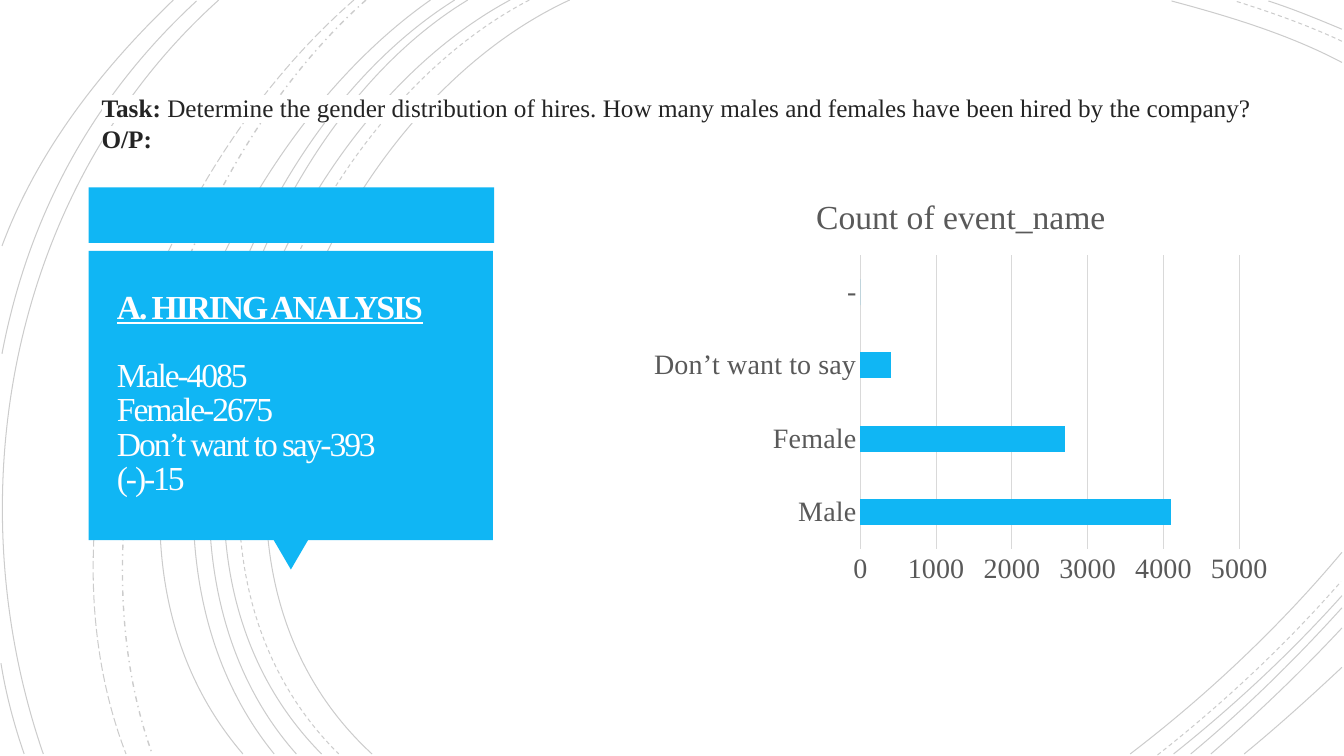
from dataclasses import dataclass

from lxml.etree import SubElement
from pptx import Presentation
from pptx.chart.data import CategoryChartData
from pptx.dml.color import RGBColor
from pptx.enum.chart import XL_CHART_TYPE, XL_TICK_MARK
from pptx.enum.dml import MSO_LINE
from pptx.enum.shapes import MSO_SHAPE
from pptx.enum.text import MSO_ANCHOR, MSO_AUTO_SIZE, PP_ALIGN
from pptx.oxml.ns import qn
from pptx.slide import Slide
from pptx.text.text import Font
from pptx.util import Inches, Pt

FONT = "Times New Roman"
COLORS = {
    "accent": "10B6F4",
    "arc": "000000",
    "panel_text": "FFFEFF",
    "task_text": "242424",
    "highlight": "FFFFFF",
    "chart_text": "595959",
    "grid": "D9D9D9",
}
Point = tuple[float, float]


@dataclass(frozen=True)
class Arc:
    start: Point
    bend_out: Point
    bend_in: Point
    end: Point
    dash: MSO_LINE = MSO_LINE.SOLID
    width: float = 0.75


@dataclass(frozen=True)
class Block:
    preset: MSO_SHAPE
    left: float
    top: float
    width: float
    height: float
    rotation: float = 0


ARCS = [
    Arc((5.65, 0), (3.15, 1.15), (1.43, 5.4), (3.69, 7.48)),
    Arc((13.31, 0.62), (12.78, 0.34), (12.18, 0.16), (11.62, 0.01)),
    Arc((11.21, 7.48), (11.97, 6.9), (12.69, 6.22), (13.31, 5.48)),
    Arc((5.25, 0), (2.85, 1.25), (1.23, 5.37), (3.36, 7.48), MSO_LINE.DASH),
    Arc((13.31, 0.41), (12.97, 0.25), (12.6, 0.12), (12.25, 0.01), MSO_LINE.DASH),
    Arc((11.48, 7.49), (12.13, 6.98), (12.75, 6.4), (13.3, 5.77), MSO_LINE.DASH),
    Arc((5.06, 0), (2.7, 1.27), (1.1, 5.37), (3.19, 7.48)),
    Arc((13.31, 0.29), (13.07, 0.19), (12.83, 0.09), (12.58, 0.01)),
    Arc((11.64, 7.48), (12.23, 7.01), (12.8, 6.48), (13.31, 5.91)),
    Arc((4.64, 0), (2.44, 1.33), (1.1, 5.41), (2.94, 7.48)),
    Arc((11.81, 7.48), (12.34, 7.04), (12.84, 6.55), (13.31, 6.03)),
    Arc((4.51, 0), (2.31, 1.38), (0.97, 5.33), (2.72, 7.48)),
    Arc((12.01, 7.48), (12.46, 7.09), (12.9, 6.67), (13.31, 6.23)),
    Arc((4.27, 0), (2.17, 1.47), (0.53, 5.29), (2.41, 7.48)),
    Arc((12.34, 7.48), (12.67, 7.21), (12.99, 6.92), (13.31, 6.62)),
    Arc((3.63, 0), (1.76, 1.66), (0.65, 5.09), (1.51, 7.48), MSO_LINE.DASH_DOT, 1),
    Arc((3.51, 0), (1.57, 1.69), (0.29, 4.99), (1.25, 7.48), MSO_LINE.LONG_DASH),
    Arc((2.17, 0), (0.11, 1.85), (-0.46, 4.9), (0.43, 7.48)),
    Arc((1.95, 0.01), (0.92, 0.96), (0.28, 2.14), (0.02, 3.51)),
    Arc((0.01, 6.58), (0.06, 6.89), (0.14, 7.19), (0.24, 7.48)),
    Arc((1.72, 0), (1, 0.69), (0.37, 1.5), (0.02, 2.44)),
]
PANEL = [
    Block(MSO_SHAPE.RECTANGLE, 0.88, 1.86, 4.02, 0.55),
    Block(MSO_SHAPE.ISOSCELES_TRIANGLE, 2.71, 5.35, 0.35, 0.3, 180),
    Block(MSO_SHAPE.RECTANGLE, 0.88, 2.49, 4.01, 2.87),
]
HIRES = {"Male": 4100, "Female": 2700, "Don’t want to say": 400, "-": 0}


def color(name: str) -> RGBColor:
    return RGBColor.from_string(COLORS[name])


def style_font(font: Font, size: float, color_name: str, bold: bool = False) -> None:
    font.name = FONT
    font.size = Pt(size)
    font.bold = bold
    font.color.rgb = color(color_name)


def draw_arc(slide: Slide, arc: Arc) -> None:
    start, *others = [
        (Inches(x), Inches(y)) for x, y in (arc.start, arc.bend_out, arc.bend_in, arc.end)
    ]
    builder = slide.shapes.build_freeform(*start)
    builder.add_line_segments(others, close=False)
    curve = builder.convert_to_shape()
    outline = next(curve.element.iter(qn("a:path")))
    bezier = SubElement(outline, qn("a:cubicBezTo"))
    for segment in outline.findall(qn("a:lnTo")):
        bezier.append(segment[0])
        outline.remove(segment)
    curve.shadow.inherit = False
    curve.fill.background()
    curve.line.color.rgb = color("arc")
    curve.line.width = Pt(arc.width)
    curve.line.dash_style = arc.dash
    line_color = curve.line._ln.find(f".//{qn('a:srgbClr')}")
    SubElement(line_color, qn("a:alpha"), val="20000")


def draw_block(slide: Slide, block: Block) -> None:
    box = (Inches(n) for n in (block.left, block.top, block.width, block.height))
    panel_part = slide.shapes.add_shape(block.preset, *box)
    panel_part.rotation = block.rotation
    panel_part.shadow.inherit = False
    panel_part.fill.solid()
    panel_part.fill.fore_color.rgb = color("accent")
    panel_part.line.fill.background()


def write_findings(slide: Slide) -> None:
    findings = slide.shapes.title
    slide.shapes._spTree.append(findings.element)
    findings.left, findings.top = Inches(0.91), Inches(2.57)
    findings.width, findings.height = Inches(3.83), Inches(2.69)
    frame = findings.text_frame
    frame.text = "A. HIRING ANALYSIS\nMale-4085\vFemale-2675\vDon’t want to say-393\v(-)-15"
    frame.word_wrap = True
    frame.auto_size = MSO_AUTO_SIZE.NONE
    frame.vertical_anchor = MSO_ANCHOR.MIDDLE
    frame.margin_left = frame.margin_right = Inches(0.25)
    frame.margin_top = frame.margin_bottom = Inches(0.25)
    heading, counts = frame.paragraphs
    counts.space_before = Pt(24)
    for paragraph in (heading, counts):
        paragraph.alignment = PP_ALIGN.LEFT
        paragraph.line_spacing = 0.85
        for run in paragraph.runs:
            style_font(run.font, 24, "panel_text", bold=paragraph is heading)
            run.font.underline = paragraph is heading
            run.font._element.set("spc", "-150")


def write_task(slide: Slide) -> None:
    task = slide.shapes.add_textbox(Inches(0.91), Inches(0.87), Inches(11.79), Inches(0.71))
    frame = task.text_frame
    frame.word_wrap = True
    frame.auto_size = MSO_AUTO_SIZE.SHAPE_TO_FIT_TEXT
    frame.text = "Task: \nO/P:"
    question = frame.paragraphs[0].add_run()
    question.text = (
        "Determine the gender distribution of hires. "
        "How many males and females have been hired by the company?"
    )
    for paragraph in frame.paragraphs:
        for run in paragraph.runs:
            style_font(run.font, 18, "task_text", bold=run.text != question.text)
            highlight = SubElement(run.font._element, qn("a:highlight"))
            SubElement(highlight, qn("a:srgbClr"), val=COLORS["highlight"])
            run.font._element.find(qn("a:solidFill")).addnext(highlight)


def draw_hires_chart(slide: Slide) -> None:
    data = CategoryChartData()
    data.categories = list(HIRES)
    data.add_series("Series 1", list(HIRES.values()))
    chart = slide.shapes.add_chart(
        XL_CHART_TYPE.BAR_CLUSTERED,
        Inches(6.36), Inches(1.74), Inches(6.34), Inches(4.14), data,
    ).chart
    style_font(chart.font, 20, "chart_text")
    chart.has_legend = False
    chart.has_title = True
    chart.chart_title.include_in_layout = False
    heading = chart.chart_title.text_frame
    heading.text = "Count of event_name"
    style_font(heading.paragraphs[0].runs[0].font, 24, "chart_text")
    plot = chart.plots[0]
    plot.gap_width = 182
    plot.vary_by_categories = False
    bars = plot.series[0].format.fill
    bars.solid()
    bars.fore_color.rgb = color("accent")
    for axis in (chart.category_axis, chart.value_axis):
        axis.major_tick_mark = axis.minor_tick_mark = XL_TICK_MARK.NONE
        style_font(axis.tick_labels.font, 20, "chart_text")
    counts = chart.value_axis
    counts.minimum_scale, counts.maximum_scale, counts.major_unit = 0, 5000, 1000
    counts.format.line.fill.background()
    for line in (chart.category_axis.format.line, counts.major_gridlines.format.line):
        line.color.rgb = color("grid")
        line.width = Pt(0.75)


def main() -> None:
    deck = Presentation()
    deck.slide_width, deck.slide_height = Inches(13.33), Inches(7.5)
    slide = deck.slides.add_slide(deck.slide_layouts[5])
    for arc in ARCS:
        draw_arc(slide, arc)
    for block in PANEL:
        draw_block(slide, block)
    write_findings(slide)
    draw_hires_chart(slide)
    write_task(slide)
    deck.save("out.pptx")


if __name__ == "__main__":
    main()
